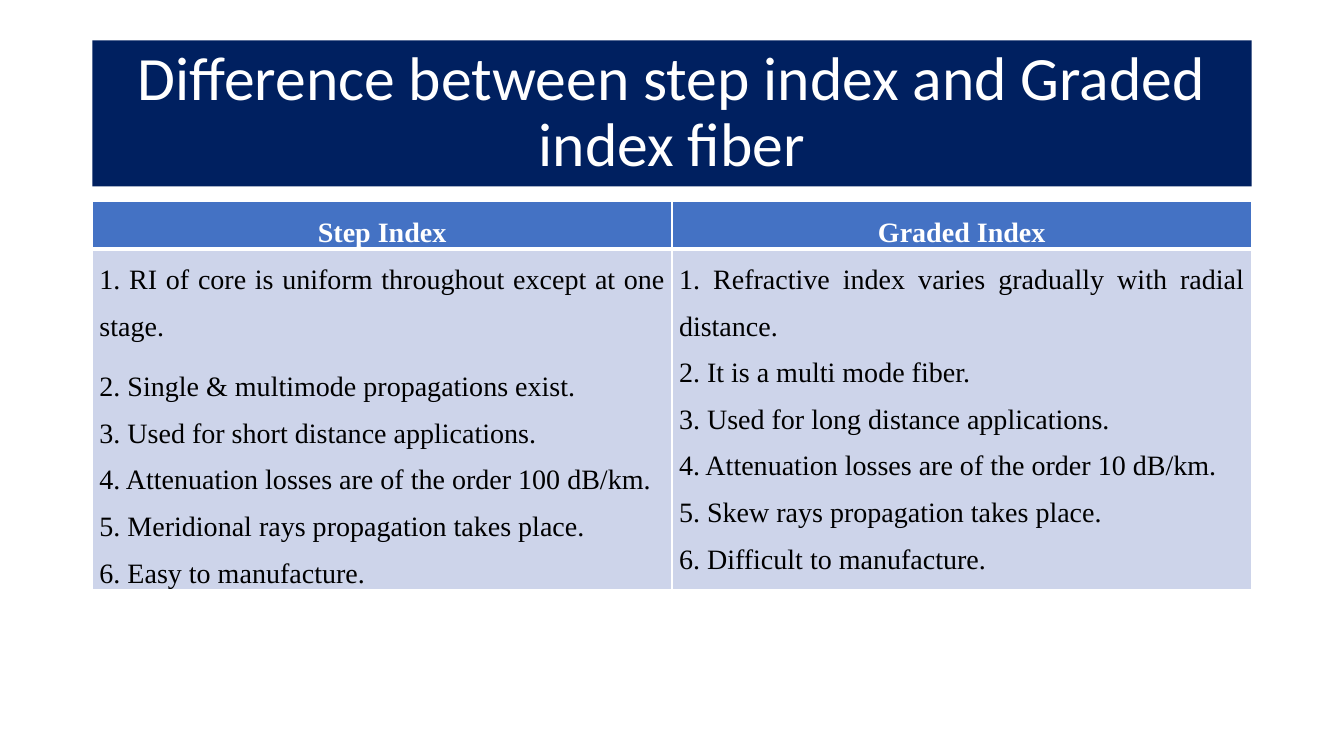
from lxml import etree
from pptx import Presentation
from pptx.dml.color import RGBColor
from pptx.enum.shapes import MSO_SHAPE
from pptx.enum.text import MSO_ANCHOR, PP_ALIGN
from pptx.oxml.ns import qn
from pptx.util import Inches, Pt

RECT = MSO_SHAPE.RECTANGLE
MIDDLE = MSO_ANCHOR.MIDDLE
CENTER, JUSTIFY = PP_ALIGN.CENTER, PP_ALIGN.JUSTIFY
NAVY = RGBColor(0x00, 0x20, 0x60)
BLUE = RGBColor(0x44, 0x72, 0xC4)
PALE = RGBColor(0xCD, 0xD4, 0xEA)
WHITE = RGBColor(0xFF, 0xFF, 0xFF)
BLACK = RGBColor(0x00, 0x00, 0x00)
COLS, ROWS = 160, 150

STEP = [
    "1. RI of core is uniform throughout except at one stage.",
    "2. Single & multimode propagations exist.",
    "3. Used for short distance applications.",
    "4. Attenuation losses are of the order 100 dB/km.",
    "5. Meridional rays propagation takes place.",
    "6. Easy to manufacture.",
]
GRADED = [
    "1. Refractive index varies gradually with radial distance.",
    "2. It is a multi mode fiber.",
    "3. Used for long distance applications.",
    "4. Attenuation losses are of the order 10 dB/km.",
    "5. Skew rays propagation takes place.",
    "6. Difficult to manufacture.",
]


class Board:
    """Holds the slide, its grid and its text style."""

    def __init__(self, deck):
        self.slide = deck.slides.add_slide(deck.slide_layouts[6])
        self.unit = deck.slide_width / COLS
        self.step = deck.slide_height / ROWS

    def place(self, left, top, width, height):
        return (round(left * self.unit), round(top * self.step),
                round(width * self.unit), round(height * self.step))

    def label(self, frame, lines, face, size, color, align, space, bold=False):
        frame.text = "\n".join(lines)
        for para in frame.paragraphs:
            para.alignment = align
            para.line_spacing = space
            for run in para.runs:
                run.font.name = face
                run.font.size = Pt(size)
                run.font.bold = bold
                run.font.color.rgb = color

    def banner(self, text, *box):
        shape = self.slide.shapes.add_shape(RECT, *self.place(*box))
        shape.shadow.inherit = False
        shape.fill.solid()
        shape.fill.fore_color.rgb = NAVY
        shape.line.fill.background()
        shape.text_frame.word_wrap = True
        shape.text_frame.vertical_anchor = MIDDLE
        self.label(shape.text_frame, [text], "Calibri", 44, WHITE, CENTER, 0.9)

    def border(self, cell, top, bottom):
        props = cell._tc.get_or_add_tcPr()
        for side, width in (("L", 1), ("R", 1), ("T", top), ("B", bottom)):
            line = etree.SubElement(props, qn(f"a:ln{side}"), w=str(Pt(width)))
            fill = etree.SubElement(line, qn("a:solidFill"))
            etree.SubElement(fill, qn("a:srgbClr"), val=str(WHITE))

    def cell(self, cell, lines, head):
        cell.margin_left = cell.margin_right = Inches(0.07)
        cell.margin_top = cell.margin_bottom = 0
        self.border(cell, *((1, 3) if head else (3, 1)))
        cell.fill.solid()
        cell.fill.fore_color.rgb = BLUE if head else PALE
        self.label(cell.text_frame, lines, "Times New Roman", 20,
                   WHITE if head else BLACK, CENTER if head else JUSTIFY,
                   1.5, head)

    def table(self, heads, bodies, left, top, width, heights):
        box = self.place(left, top, width, sum(heights))
        grid = self.slide.shapes.add_table(2, len(heads), *box).table
        for row, height in zip(grid.rows, heights):
            row.height = round(height * self.step)
        for col, (head, body) in enumerate(zip(heads, bodies)):
            self.cell(grid.cell(0, col), [head], True)
            self.cell(grid.cell(1, col), body, False)
        return grid


def main():
    deck = Presentation()
    deck.slide_width, deck.slide_height = Inches(13.33), Inches(7.5)
    board = Board(deck)
    board.banner("Difference between step index and Graded index fiber",
                 11, 8, 138, 29)
    grid = board.table(["Step Index", "Graded Index"], [STEP, GRADED],
                       11, 40, 138, (9.4, 67.4))
    grid.cell(1, 0).text_frame.paragraphs[1].space_before = Pt(10)
    deck.save("out.pptx")


if __name__ == "__main__":
    main()
